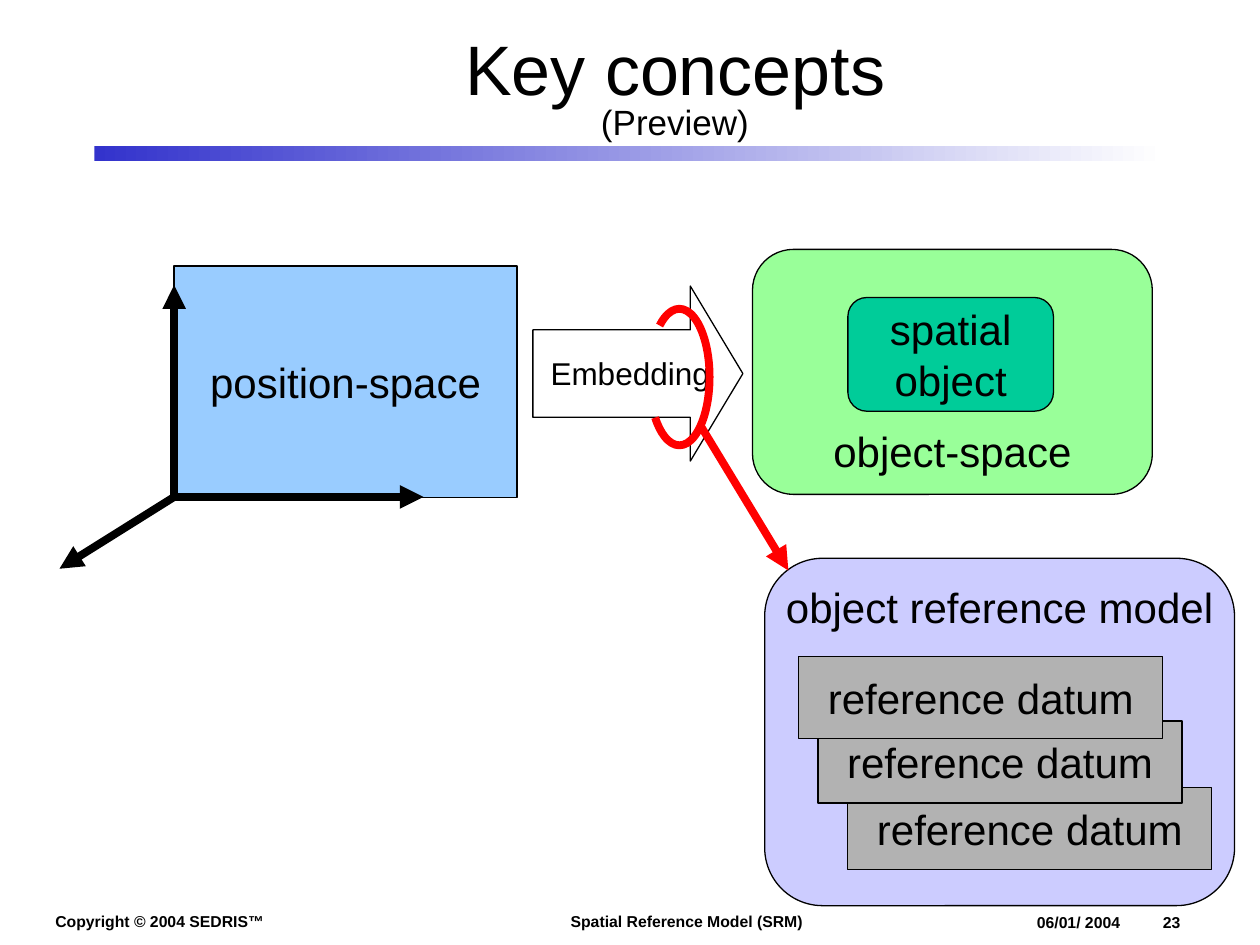
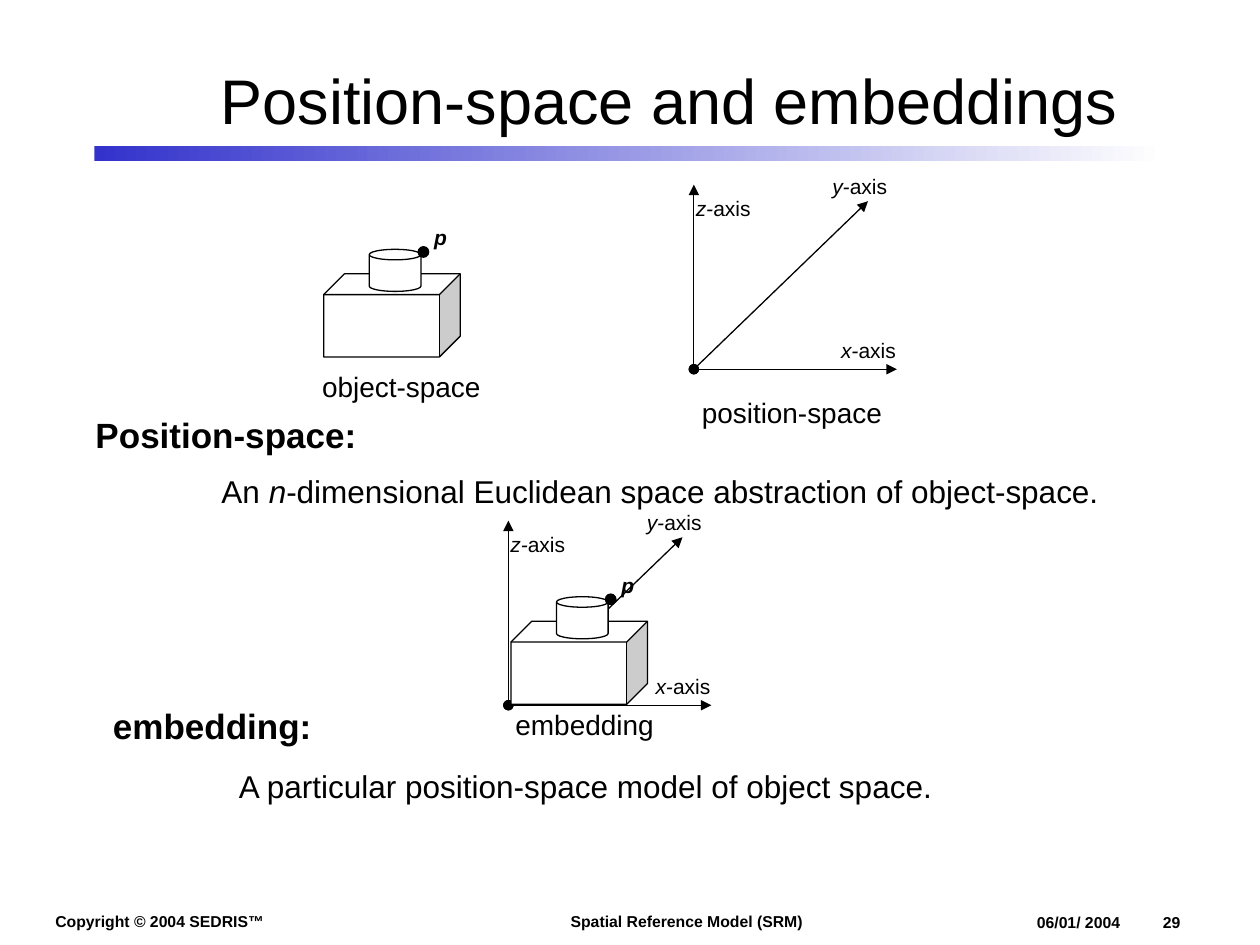
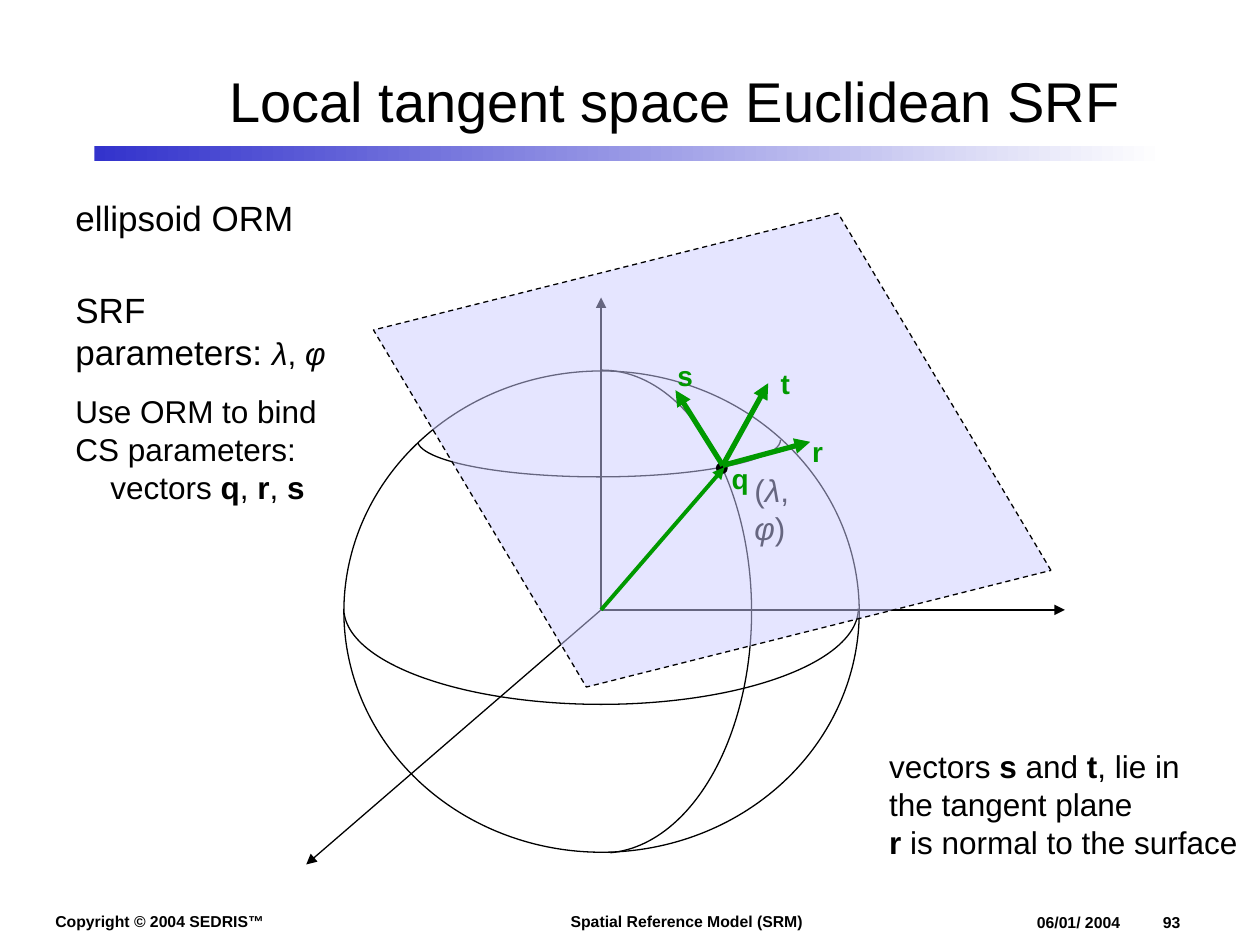
import pptx
import pptx.dml.color
import pptx.enum.dml
import pptx.enum.shapes
import pptx.enum.text
import pptx.oxml
import pptx.oxml.ns
import pptx.util

Pt = pptx.util.Pt
RGBColor = pptx.dml.color.RGBColor
SHAPE = pptx.enum.shapes.MSO_SHAPE
ANCHOR = pptx.enum.text.MSO_ANCHOR
ALIGN = pptx.enum.text.PP_ALIGN

FONT = "Arial"
BLACK = RGBColor(0x00, 0x00, 0x00)
WHITE = RGBColor(0xFF, 0xFF, 0xFF)
BAND_BLUE = RGBColor(0x33, 0x33, 0xCC)
SKY = RGBColor(0x99, 0xCC, 0xFF)
LIME = RGBColor(0x99, 0xFF, 0x99)
TEAL = RGBColor(0x00, 0xCC, 0x99)
LAVENDER = RGBColor(0xCC, 0xCC, 0xFF)
GREY = RGBColor(0xB2, 0xB2, 0xB2)
RED = RGBColor(0xFF, 0x00, 0x00)
GREEN = RGBColor(0x00, 0x99, 0x00)


def append(parent, tag, **attributes):
    """Append a DrawingML element to parent and return it."""
    element = pptx.oxml.parse_xml(f"<a:{tag} {pptx.oxml.ns.nsdecls('a')}/>")
    for name, value in attributes.items():
        element.set(name, str(value))
    parent.append(element)
    return element


def add_tabs(p, *stops):
    """Set left tab stops, in points, on a paragraph."""
    tabs = append(p._p.get_or_add_pPr(), "tabLst")
    for stop in stops:
        append(tabs, "tab", pos=Pt(stop), algn="l")


def write(p, runs, size, color=BLACK, bold=False, align=None):
    """Write a string, or (text, style) runs with styles b and i, in a paragraph."""
    p.font.name = FONT
    p.font.size = Pt(size)
    p.font.bold = bold
    p.font.color.rgb = color
    p.alignment = align
    for text, style in [(runs, "")] if isinstance(runs, str) else runs:
        r = p.add_run()
        r.text = text
        if "b" in style:
            r.font.bold = True
        if "i" in style:
            r.font.italic = True


def write_all(tf, paragraphs, size, **style):
    """Write one paragraph per item in a text frame."""
    for i, runs in enumerate(paragraphs):
        p = tf.add_paragraph() if i else tf.paragraphs[0]
        write(p, runs, size, **style)


def add_text(slide, box, paragraphs, size, wrap=True, **style):
    """Add a text box and return its text frame."""
    tf = slide.shapes.add_textbox(*map(Pt, box)).text_frame
    tf.word_wrap = wrap
    write_all(tf, paragraphs, size, **style)
    return tf


def add_shape(slide, kind, box, fill=None, line=BLACK, width=0.75, adjust=()):
    """Add a flat preset shape."""
    sp = slide.shapes.add_shape(kind, *map(Pt, box))
    sp.shadow.inherit = False
    for i, value in enumerate(adjust):
        sp.adjustments[i] = value
    if fill is None:
        sp.fill.background()
    else:
        sp.fill.solid()
        sp.fill.fore_color.rgb = fill
    sp.line.color.rgb = line
    sp.line.width = Pt(width)
    return sp


def add_box(slide, kind, box, fill, lines, anchor=ANCHOR.MIDDLE):
    """Add a filled shape with centred 24 point text."""
    sp = add_shape(slide, kind, box, fill)
    tf = sp.text_frame
    tf.word_wrap = False
    tf.vertical_anchor = anchor
    write_all(tf, lines, 24, align=ALIGN.CENTER)


def add_arc(slide, box, start, end, color=BLACK, width=0.75):
    """Add the clockwise arc between two angles, in degrees, of the ellipse in box."""
    adjust = [angle * 0.6 for angle in (start, end)]
    add_shape(slide, SHAPE.ARC, box, line=color, width=width, adjust=adjust)


def add_arrow(slide, start, end, color=BLACK, width=0.75, head=None):
    """Add a straight arrow, with an optional mark at its start."""
    sp = slide.shapes.add_connector(
        pptx.enum.shapes.MSO_CONNECTOR.STRAIGHT, *map(Pt, (*start, *end)))
    sp.line.color.rgb = color
    sp.line.width = Pt(width)
    ln = sp.line._get_or_add_ln()
    if head:
        append(ln, "headEnd", type=head)
    append(ln, "tailEnd", type="triangle")
    append(sp._element.spPr, "effectLst")


def add_title(slide, left, top, text, size, subtitle=None):
    """Add the centred title, with an optional small second line."""
    tf = add_text(slide, (left, top, 597.5, 78.5), [text], size, align=ALIGN.CENTER)
    tf.vertical_anchor = ANCHOR.MIDDLE
    if subtitle:
        p = tf.paragraphs[0]
        p.line_spacing = 0.8
        p.add_line_break()
        r = p.add_run()
        r.text = subtitle
        r.font.size = Pt(20)


def new_slide(prs, number):
    """Add a blank slide with the shared footer and gradient band."""
    slide = prs.slides.add_slide(prs.slide_layouts[6])
    for left, width, text in ((24.5, 134, "Copyright © 2004 SEDRIS™"),
                              (319, 147, "Spatial Reference Model (SRM)")):
        add_text(slide, (left, 517.5, width, 18), [text], 9, wrap=False, bold=True)
    tf = slide.shapes.add_textbox(*map(Pt, (592.5, 521.5, 103.5, 11))).text_frame
    tf.word_wrap = True
    tf.vertical_anchor = ANCHOR.BOTTOM
    tf.margin_left = tf.margin_right = tf.margin_top = tf.margin_bottom = 0
    add_tabs(tf.paragraphs[0], 54, 72)
    write(tf.paragraphs[0], f"06/01/ 2004\t\t{number}", 9, bold=True)
    band = add_shape(slide, SHAPE.RECTANGLE, (54, 83.5, 612, 8.5))
    band.line.fill.background()
    band.fill.gradient()
    band.fill.gradient_angle = 0
    for stop, color in zip(band.fill.gradient_stops, (BAND_BLUE, WHITE)):
        stop.color.rgb = color
    return slide


def add_definition(slide, box, term, meaning, spacing=None):
    """Add a bold term with its tabbed meaning below."""
    tf = add_text(slide, box, [term], 20, bold=True)
    p = tf.add_paragraph()
    add_tabs(p, 72)
    write(p, meaning, 18)
    p.line_spacing = spacing
    for p in tf.paragraphs:
        p.space_after = Pt(12)


def add_spatial_object(slide, x, y):
    """Add the block with a can on top and the marked point p."""
    add_shape(slide, SHAPE.CUBE, (x, y, 78, 47.5), WHITE, adjust=[0.25])
    add_shape(slide, SHAPE.CAN, (x + 26, y - 14, 29.5, 24), WHITE, adjust=[0.25])
    add_shape(slide, SHAPE.OVAL, (x + 54, y - 15.5, 6, 6), BLACK)
    add_text(slide, (x + 56, y - 31.5, 24.5, 23), [[("p", "bi")]], 12)


def add_axes(slide, x, y):
    """Add three labelled axes from an origin."""
    for dx, dy in ((0, -105.5), (116, 0), (99.5, -96)):
        add_arrow(slide, (x, y), (x + dx, y + dy), head="oval")
    for name, dx, dy in (("x-", 77, -21.5), ("z-", -6, -103), ("y-", 72, -115.5)):
        add_text(slide, (x + dx, y + dy, 51, 23), [[(name, "i"), ("axis", "")]], 12)


def key_concepts(prs):
    """Build the overview of the key concepts."""
    slide = new_slide(prs, 23)
    add_shape(slide, SHAPE.RIGHT_ARROW, (304.5, 163.5, 120, 100), WHITE, adjust=[0.5, 0.3])
    add_text(slide, (307.5, 198.5, 106, 29), ["Embedding"], 18, wrap=False)
    add_box(slide, SHAPE.ROUNDED_RECTANGLE, (430, 142.5, 228.5, 140), LIME,
            ["object-space"], ANCHOR.BOTTOM)
    add_box(slide, SHAPE.ROUNDED_RECTANGLE, (484.5, 170, 117.5, 65), TEAL,
            ["spatial", "object"])
    add_box(slide, SHAPE.RECTANGLE, (99.5, 152, 196, 132.5), SKY, ["position-space"])
    for tip in ((242, 284), (99.5, 163), (34, 325)):
        add_arrow(slide, (99.5, 284), tip, width=4.5)
    add_box(slide, SHAPE.ROUNDED_RECTANGLE, (437, 319, 268.5, 198.5), LAVENDER,
            ["object reference model"], ANCHOR.TOP)
    add_arc(slide, (371, 176.5, 34.5, 78), 249, 121, RED, 4.5)
    add_arrow(slide, (400.5, 243.5), (450.5, 326), RED, 4.5)
    for left, top in ((484.5, 450), (467.5, 412), (456.5, 375)):
        add_box(slide, SHAPE.RECTANGLE, (left, top, 208, 47), GREY, ["reference datum"])
    add_title(slide, 87, 13.5, "Key concepts", 40, "(Preview)")


def position_space(prs):
    """Build the slide on position-space and embeddings."""
    slide = new_slide(prs, 29)
    add_definition(slide, (47.5, 232.5, 607, 75), "Position-space:", [
        ("\tAn ", ""), ("n", "i"),
        ("-dimensional Euclidean space abstraction of object-space.", "")], 0.9)
    add_title(slide, 83.5, 17.5, "Position-space and embeddings", 36)
    add_spatial_object(slide, 185, 156.5)
    add_axes(slide, 396.5, 211)
    add_definition(slide, (57.5, 399, 607, 77), "embedding:",
                   "\tA particular position-space model of object space.")
    add_axes(slide, 290.5, 403)
    add_spatial_object(slide, 292, 355)
    for left, top, label in ((177, 207.5, "object-space"), (394, 222.5, "position-space"),
                             (287.5, 400.5, "embedding")):
        add_text(slide, (left, top, 135.5, 23), [label], 16)


def tangent_space(prs):
    """Build the slide on the local tangent space frame."""
    slide = new_slide(prs, 93)
    origin, contact = (343.5, 348.5), (413, 266)
    add_shape(slide, SHAPE.OVAL, (196.5, 212, 294.5, 275), WHITE)
    add_text(slide, (424, 265.5, 50, 47),
             [[("(", ""), ("λ", "i"), (", ", ""), ("φ", "i"), (")", "")]], 18)
    tf = add_text(slide, (36, 161.5, 160.5, 55.5), [
        "SRF", [("parameters: ", ""), ("λ", "i"), (", ", ""), ("φ", "i")]], 20, wrap=False)
    for r in tf.paragraphs[1].runs[1:]:
        r.font.size = Pt(18)
    add_title(slide, 87, 18, "Local tangent space Euclidean SRF", 32)
    add_arc(slide, (258.5, 211.5, 171, 276), 270, 88)
    add_arc(slide, (196.5, 293, 294, 109.5), 0, 179)
    add_arc(slide, (238.5, 230.5, 207.5, 42), 0, 179)
    for tip in ((608.5, 348.5), (343.5, 170), (175, 494)):
        add_arrow(slide, origin, tip)
    add_text(slide, (36, 108.5, 139, 31), ["ellipsoid ORM"], 20, wrap=False)
    tf = add_text(slide, (36, 220.5, 152.5, 72), [
        "Use ORM to bind", "CS parameters:",
        [("vectors ", ""), ("q", "b"), (", ", ""), ("r", "b"), (", ", ""), ("s", "b")]],
        18, wrap=False)
    tf.paragraphs[2]._p.get_or_add_pPr().set("marL", str(Pt(20)))

    plane = add_shape(slide, SHAPE.PARALLELOGRAM, (236, 143.5, 342, 227.5), LAVENDER,
                      adjust=[0.3])
    plane.rotation = 345.9
    plane.line.dash_style = pptx.enum.dml.MSO_LINE.DASH
    spPr = plane._element.spPr
    spPr.find(pptx.oxml.ns.qn("a:xfrm")).set("flipH", "1")
    append(spPr.find(pptx.oxml.ns.qn("a:solidFill"))[0], "alpha", val=50000)

    add_text(slide, (501, 423.5, 214, 72), [
        [("vectors ", ""), ("s", "b"), (" and ", ""), ("t", "b"), (", lie in", "")],
        "the tangent plane",
        [("r", "b"), (" is normal to the surface", "")]], 18, wrap=False)
    add_shape(slide, SHAPE.OVAL, (409.5, 264.5, 6, 6), BLACK)
    add_arrow(slide, origin, (414, 267), GREEN, 2.25)
    for tip in ((463, 252.5), (386, 223), (439, 219)):
        add_arrow(slide, contact, tip, GREEN, 3)
    for name, left, top in (("t", 439, 206), ("q", 411, 260), ("r", 457, 245),
                            ("s", 380, 201.5)):
        add_text(slide, (left, top, 24, 26.5), [name], 16, color=GREEN, bold=True)


def main():
    """Build and save the deck."""
    prs = pptx.Presentation()
    prs.slide_width, prs.slide_height = Pt(720), Pt(540)
    key_concepts(prs)
    position_space(prs)
    tangent_space(prs)
    prs.save("out.pptx")


if __name__ == "__main__":
    main()
